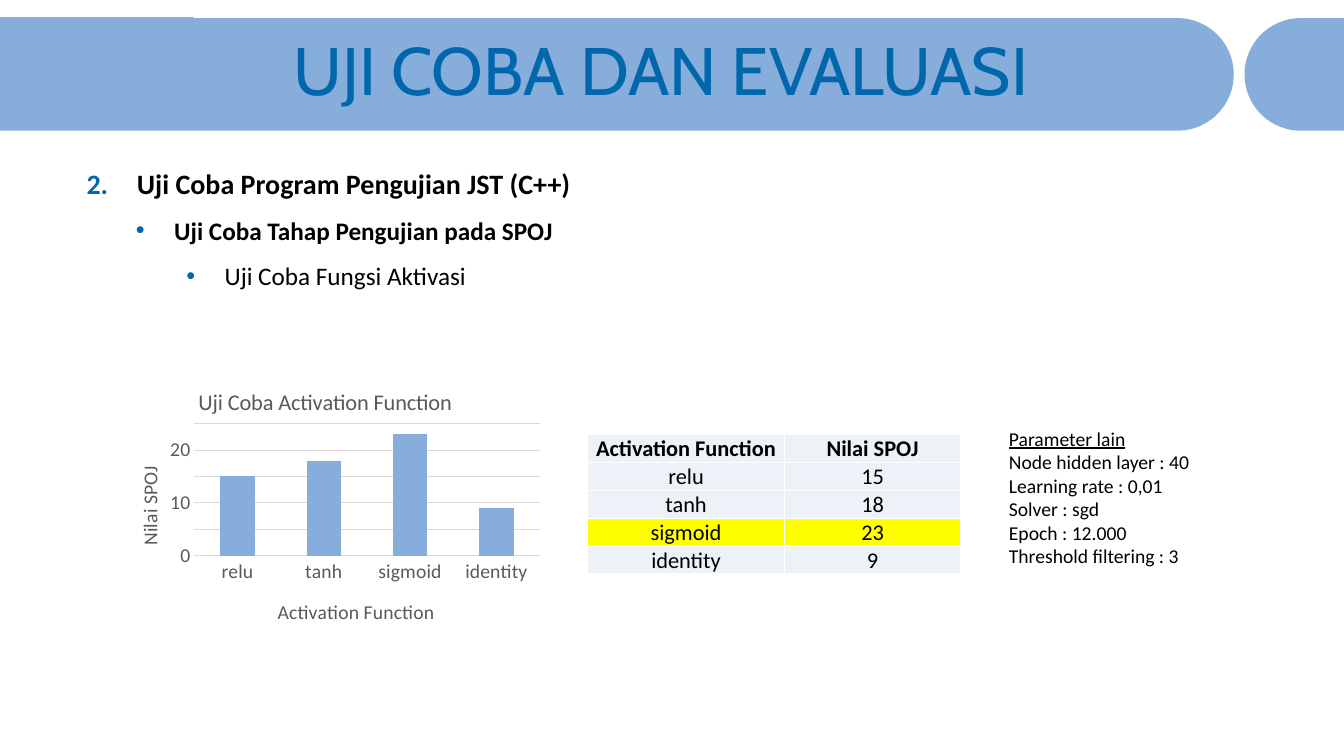
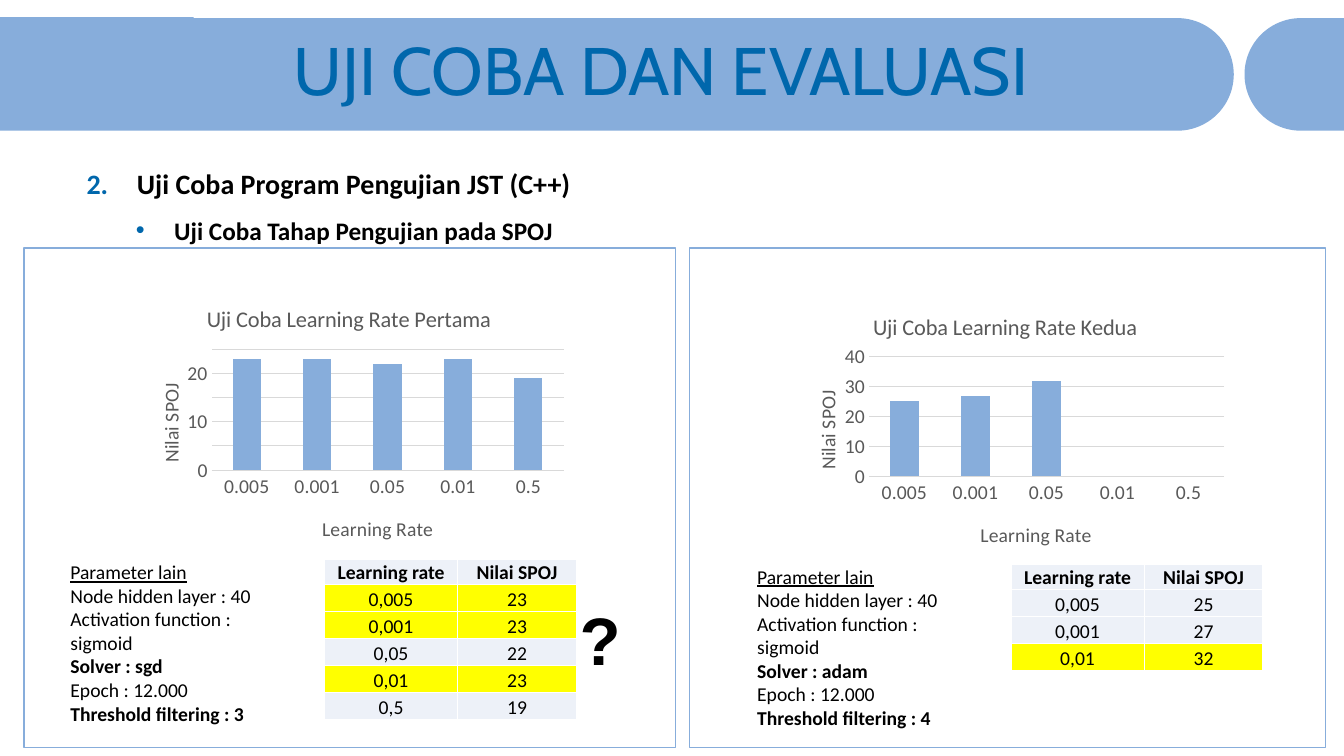
from copy import deepcopy
from math import cos, pi, sin

from lxml import etree
from pptx import Presentation
from pptx.chart.data import CategoryChartData
from pptx.dml.color import RGBColor
from pptx.enum.chart import XL_CHART_TYPE as ChartType, XL_TICK_MARK as Tick
from pptx.enum.shapes import MSO_SHAPE as Preset
from pptx.enum.text import MSO_ANCHOR as Anchor, PP_ALIGN as Align
from pptx.oxml.ns import qn
from pptx.util import Emu, Inches, Pt

WIDTH, HEIGHT = Inches(13.333), Inches(7.5)
BLUE, DEEP_BLUE, PALE, YELLOW = "87ADDB", "0067AC", "EDF1F8", "FFFF00"
BLACK, WHITE, GREY, RULE = "000000", "FFFFFF", "595959", "D9D9D9"
BAND_TOP, BAND_HEIGHT = 2.4, 14.9

OUTLINE = [
    ("Uji Coba Program Pengujian JST (C++)", 20, True, 0.5, -0.5),
    ("Uji Coba Tahap Pengujian pada SPOJ", 18, True, 0.87, -0.38),
    ("Uji Coba Fungsi Aktivasi", 18, False, 1.37, -0.38),
]
RATES = ["0.005", "0.001", "0.05", "0.01", "0.5"]


def rgb(value):
    return RGBColor.from_string(value)


def across(share):
    return Emu(round(WIDTH * share / 100))


def down(share):
    return Emu(round(HEIGHT * share / 100))


def box(x, y, w, h):
    return across(x), down(y), across(w), down(h)


def sub(parent, tag, **attrs):
    return etree.SubElement(parent, qn(tag), **attrs)


def style(font, size, color, name="Calibri", bold=False, underline=False):
    font.size, font.name = Pt(size), name
    font.bold, font.underline = bold, underline
    font.color.rgb = rgb(color)


def add_run(p, text, size, color=BLACK, **options):
    r = p.add_run()
    r.text = text
    style(r.font, size, color, **options)


def paragraphs(tf, count):
    return [tf.paragraphs[0]] + [tf.add_paragraph() for _ in range(count - 1)]


def add_text(s, place, wrap=True):
    tf = s.shapes.add_textbox(*box(*place)).text_frame
    tf.word_wrap = wrap
    return tf


def paint(sp, fill=None, line=None):
    sp.shadow.inherit = False
    if fill:
        sp.fill.solid()
        sp.fill.fore_color.rgb = rgb(fill)
    else:
        sp.fill.background()
    if line:
        sp.line.color.rgb = rgb(line)
        sp.line.width = Pt(1)
    else:
        sp.line.fill.background()


def add_rect(s, place, fill=None, line=None):
    paint(s.shapes.add_shape(Preset.RECTANGLE, *box(*place)), fill, line)


def add_pill(s, flat_share, round_share, steps=48):
    flat, tip = across(flat_share), across(round_share)
    top, radius = down(BAND_TOP), down(BAND_HEIGHT) / 2
    side = 1 if tip > flat else -1
    center = tip - side * radius
    angles = [pi * i / steps for i in range(steps + 1)]
    arc = [(round(center + side * radius * sin(a)),
            round(top + radius * (1 - cos(a)))) for a in angles]
    builder = s.shapes.build_freeform(flat, top)
    builder.add_line_segments(arc + [(flat, arc[-1][1])], close=True)
    paint(builder.convert_to_shape(), BLUE)


def add_header(s):
    add_pill(s, 0, 91.8)
    add_pill(s, 100, 92.6)
    add_rect(s, (0, 2.27, 14.4, BAND_HEIGHT), BLUE)
    tf = add_text(s, (21.1, 4.5, 78.9, 10.5))
    tf.vertical_anchor = Anchor.MIDDLE
    p = tf.paragraphs[0]
    p.line_spacing = 0.9
    add_run(p, "UJI COBA DAN EVALUASI", 48, DEEP_BLUE, name="Cabin")


def add_outline(s, levels, height):
    tf = add_text(s, (5.7, 19.1, 88.4, height))
    for level, p in enumerate(paragraphs(tf, levels)):
        text, size, bold, margin, indent = OUTLINE[level]
        p.level, p.line_spacing = level, 1.5
        pPr = p._p.get_or_add_pPr()
        pPr.set("marL", str(Inches(margin)))
        pPr.set("indent", str(Inches(indent)))
        sub(sub(pPr, "a:buClr"), "a:srgbClr", val=DEEP_BLUE)
        if level:
            sub(pPr, "a:buFont", typeface="Arial")
            sub(pPr, "a:buChar", char="•")
        else:
            sub(pPr, "a:buFont", typeface="+mj-lt")
            sub(pPr, "a:buAutoNum", type="arabicPeriod", startAt="2")
        add_run(p, text, size, bold=bold)


def add_parameters(s, place, lines, bold_starts=()):
    tf = add_text(s, place)
    head, *rest = paragraphs(tf, len(lines) + 1)
    add_run(head, "Parameter lain", 14, underline=True)
    for p, text in zip(rest, lines):
        add_run(p, text, 14, bold=text.startswith(tuple(bold_starts)))


def border_cell(cell):
    tcPr = cell._tc.get_or_add_tcPr()
    for i, side in enumerate(("a:lnL", "a:lnR", "a:lnT", "a:lnB")):
        ln = etree.Element(qn(side), w=str(Pt(1)))
        sub(sub(ln, "a:solidFill"), "a:srgbClr", val=WHITE)
        tcPr.insert(i, ln)


def add_table(s, x, y, widths, heights, size, rows, marked):
    place = box(x, y, sum(widths), sum(heights))
    table = s.shapes.add_table(len(rows), len(widths), *place).table
    table.first_row = table.horz_banding = False
    for column, width in zip(table.columns, widths):
        column.width = across(width)
    for i, (row, values) in enumerate(zip(table.rows, rows)):
        row.height = down(heights[i])
        for cell, value in zip(row.cells, values):
            cell.margin_left = cell.margin_right = cell.margin_top = Inches(0.01)
            cell.margin_bottom = 0
            cell.vertical_anchor = Anchor.BOTTOM
            cell.fill.solid()
            cell.fill.fore_color.rgb = rgb(YELLOW if i in marked else PALE)
            border_cell(cell)
            p = cell.text_frame.paragraphs[0]
            p.alignment = Align.CENTER
            add_run(p, value, size, bold=i == 0)


def add_rate_table(s, x, y, rows, marked):
    heights = [3.35] + [3.56] * len(rows)
    rows = [("Learning rate", "Nilai SPOJ")] + rows
    add_table(s, x, y, (9.9, 8.85), heights, 14, rows, marked)


def set_layout(parent, index, inner=False, **shares):
    old = parent.find(qn("c:layout"))
    if old is not None:
        parent.remove(old)
    layout = etree.Element(qn("c:layout"))
    manual = sub(layout, "c:manualLayout")
    if inner:
        sub(manual, "c:layoutTarget", val="inner")
    for key in ("x", "y"):
        sub(manual, f"c:{key}Mode", val="edge")
    for key, share in shares.items():
        sub(manual, f"c:{key}", val=str(share))
    parent.insert(index, layout)


def add_chart_title(title, text, size, x, y, upright=False):
    tf = title.text_frame
    add_run(tf.paragraphs[0], text, size, GREY)
    if upright:
        body = tf._txBody.find(qn("a:bodyPr"))
        body.set("rot", "-5400000")
        body.set("vert", "horz")
    set_layout(title._element, 1, x=x, y=y)


def style_line(line):
    line.color.rgb = rgb(RULE)
    line.width = Pt(0.75)


def add_minor_grid(axis, unit):
    axis.minor_unit = unit
    axis.has_minor_gridlines = True
    major = axis._element.find(qn("c:majorGridlines"))
    minor = axis._element.find(qn("c:minorGridlines"))
    minor.append(deepcopy(major.find(qn("c:spPr"))))


def add_column_chart(s, place, title, title_x, axis_name, axis_x, cats, vals,
                     top, unit, plot, minor=None):
    data = CategoryChartData()
    data.categories = cats
    data.add_series("Series 1", vals)
    chart = s.shapes.add_chart(ChartType.COLUMN_CLUSTERED, *box(*place), data).chart
    chart.has_legend = False
    style(chart.font, 14, BLACK)
    chart.has_title = True
    add_chart_title(chart.chart_title, title, 16, title_x, 0.06)

    bars = chart.plots[0]
    bars.gap_width, bars.vary_by_categories = 150, False
    fill = bars.series[0].format.fill
    fill.solid()
    fill.fore_color.rgb = rgb(BLUE)

    cat, val = chart.category_axis, chart.value_axis
    for axis in (cat, val):
        axis.major_tick_mark = axis.minor_tick_mark = Tick.NONE
        style(axis.tick_labels.font, 14, GREY)
    style_line(cat.format.line)
    val.format.line.fill.background()
    val.minimum_scale, val.maximum_scale, val.major_unit = 0, top, unit
    style_line(val.major_gridlines.format.line)
    if minor:
        add_minor_grid(val, minor)
    add_chart_title(cat.axis_title, axis_name, 14, axis_x, 0.83)
    add_chart_title(val.axis_title, "Nilai SPOJ", 14, 0.06, 0.35, upright=True)
    x, y, w, h = plot
    set_layout(chart._chartSpace.chart.plotArea, 0, inner=True, x=x, y=y, w=w, h=h)


def build_activation(s):
    add_header(s)
    add_outline(s, 3, 20.1)
    names, scores = ["relu", "tanh", "sigmoid", "identity"], [15, 18, 23, 9]
    add_column_chart(s, (7.88, 48.4, 32.93, 36.4), "Uji Coba Activation Function",
                     0.2, "Activation Function", 0.38, names, scores,
                     25, 10, (0.2, 0.21, 0.78, 0.48), minor=5)
    add_parameters(s, (74.33, 55.75, 15.4, 20.1), [
        "Node hidden layer : 40", "Learning rate : 0,01", "Solver : sgd",
        "Epoch : 12.000", "Threshold filtering : 3"])
    rows = [("Activation Function", "Nilai SPOJ")]
    rows += [(name, str(score)) for name, score in zip(names, scores)]
    add_table(s, 43.73, 57.45, (14.63, 13.13), [3.7] * len(rows), 16, rows, {3})


def build_learning_rate(s):
    add_header(s)
    for x, width in ((51.3, 47.35), (1.8, 48.45)):
        add_rect(s, (x, 32.8, width, 66.1), line=BLUE)
    p = add_text(s, (42.4, 78.5, 4.6, 12.1), wrap=False).paragraphs[0]
    add_run(p, "?", 48, name="Arial", bold=True)
    for x, y, solver, threshold in ((4.5, 73.45, "sgd", 3), (55.6, 74, "adam", 4)):
        add_parameters(s, (x, y, 17.7, 20.1), [
            "Node hidden layer : 40", "Activation function : sigmoid",
            f"Solver : {solver}", "Epoch : 12.000",
            f"Threshold filtering : {threshold}"], ("Solver", "Threshold"))
    plot = (0.19, 0.24, 0.79, 0.44)
    add_column_chart(s, (9.45, 37.45, 33.15, 36.4), "Uji Coba Learning Rate Pertama",
                     0.17, "Learning Rate", 0.43, RATES, [23, 23, 22, 23, 19],
                     25, 5, plot)
    add_column_chart(s, (58.3, 38.5, 33.45, 36.1), "Uji Coba Learning Rate Kedua",
                     0.19, "Learning Rate", 0.43, RATES, [25, 27, 32, None, None],
                     40, 10, plot)
    add_rate_table(s, 24.15, 74, [
        ("0,005", "23"), ("0,001", "23"), ("0,05", "22"),
        ("0,01", "23"), ("0,5", "19")], {1, 2, 4})
    add_rate_table(s, 75.23, 74.65, [
        ("0,005", "25"), ("0,001", "27"), ("0,01", "32")], {3})
    add_outline(s, 2, 14.1)


def main():
    prs = Presentation()
    prs.slide_width, prs.slide_height = WIDTH, HEIGHT
    for build in (build_activation, build_learning_rate):
        build(prs.slides.add_slide(prs.slide_layouts[6]))
    prs.save("out.pptx")


if __name__ == "__main__":
    main()
